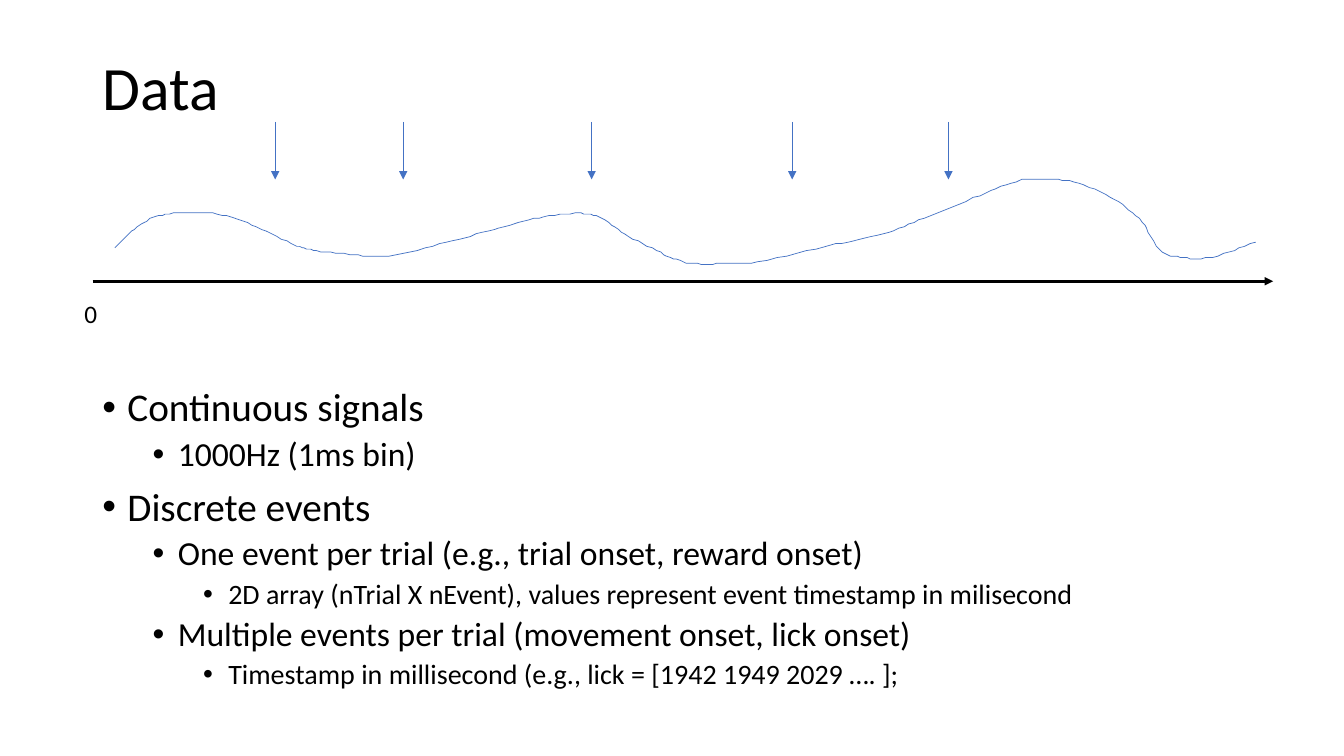
from dataclasses import dataclass
from itertools import chain, pairwise

from lxml import etree
from pptx import Presentation
from pptx.dml.color import RGBColor
from pptx.enum.shapes import MSO_CONNECTOR
from pptx.enum.text import MSO_ANCHOR, MSO_AUTO_SIZE, PP_ALIGN
from pptx.oxml.ns import qn
from pptx.shapes.base import BaseShape
from pptx.slide import Slide
from pptx.text.text import TextFrame, _Paragraph
from pptx.util import Pt

STRAIGHT = MSO_CONNECTOR.STRAIGHT
MIDDLE = MSO_ANCHOR.MIDDLE
LEFT = PP_ALIGN.LEFT
NO_AUTOFIT = MSO_AUTO_SIZE.NONE

Point = tuple[float, float]

FONT = "Calibri"
COLORS = {"ink": "000000", "signal": "4472C4"}
TITLE_ONLY = 5
MARGIN, CONTENT_WIDTH = 66, 828
LINE_SPACING = 0.9
HANGING = 18
LEVEL_STEP = 36


@dataclass
class Level:
    size: float
    space_before: float


@dataclass
class Bullet:
    text: str
    level: int = 0


@dataclass
class Arrow:
    start: Point
    end: Point
    color: str = "signal"
    width: float = 0.5


LEVELS = [Level(28, 10), Level(24, 5), Level(20, 5)]
BULLETS = [
    Bullet("Continuous signals"),
    Bullet("1000Hz (1ms bin)", 1),
    Bullet("Discrete events"),
    Bullet("One event per trial (e.g., trial onset, reward onset)", 1),
    Bullet("2D array (nTrial X nEvent), values represent event timestamp in milisecond", 2),
    Bullet("Multiple events per trial (movement onset, lick onset)", 1),
    Bullet("Timestamp in millisecond (e.g., lick = [1942 1949 2029 …. ];", 2),
]

AXIS_Y = 200.9
TIME_AXIS = Arrow((66.2, AXIS_Y), (909.4, AXIS_Y), "ink", 2)
EVENT_TOP, EVENT_BOTTOM = 87.1, 128.2
EVENT_POSITIONS = [196.6, 288, 422.6, 565.9, 677.5]
EVENT_ARROWS = [Arrow((x, EVENT_TOP), (x, EVENT_BOTTOM)) for x in EVENT_POSITIONS]

SAMPLES_PER_SPAN = 8
SIGNAL_STAGES = {
    "first rise": [(82, 177), (90, 169), (107, 156.5), (130, 152)],
    "first fall": [(159, 153.5), (183, 162), (212, 175.5), (226, 179)],
    "first trough": [(253, 182), (278, 183)],
    "second rise": [(319, 173), (353, 164), (381, 156.5), (411, 152.5)],
    "second fall": [(428, 155), (446, 167), (472, 180.5), (490, 187.5)],
    "second trough": [(512, 188.5), (541, 187)],
    "third rise": [(597, 174.5), (631, 167), (660, 156), (700, 139.5), (730, 128.5)],
    "third fall": [(745, 128.2), (767, 130), (797, 143), (816, 159), (828, 178)],
    "third trough": [(845, 184), (866, 183.5)],
    "last rise": [(897, 173)],
}


def rgb(name: str) -> RGBColor:
    return RGBColor.from_string(COLORS[name])


def smooth_curve(knots: list[Point]) -> list[Point]:
    neighbours = zip(knots[:1] + knots[:-1], knots[1:] + knots[-1:])
    slopes = [(after[1] - before[1]) / (after[0] - before[0]) for before, after in neighbours]
    curve = knots[:1]
    for (start, start_slope), (end, end_slope) in pairwise(zip(knots, slopes)):
        span, rise = end[0] - start[0], end[1] - start[1]
        for step in range(1, SAMPLES_PER_SPAN + 1):
            t = step / SAMPLES_PER_SPAN
            height = (rise * t * t * (3 - 2 * t)
                      + span * start_slope * t * (1 - t) ** 2
                      - span * end_slope * t * t * (1 - t))
            curve.append((start[0] + span * t, start[1] + height))
    return curve


def place(shape: BaseShape, left: float, top: float, width: float, height: float) -> None:
    shape.left, shape.top = Pt(left), Pt(top)
    shape.width, shape.height = Pt(width), Pt(height)


def write(paragraph: _Paragraph, text: str, size: float) -> None:
    paragraph.text = text
    paragraph.alignment = LEFT
    for run in paragraph.runs:
        run.font.name = FONT
        run.font.size = Pt(size)
        run.font.color.rgb = rgb("ink")


def add_title(slide: Slide, text: str) -> None:
    title = slide.shapes.title
    place(title, MARGIN, 12.2, CONTENT_WIDTH, 104.4)
    text_frame = title.text_frame
    text_frame.vertical_anchor = MIDDLE
    text_frame.auto_size = NO_AUTOFIT
    write(text_frame.paragraphs[0], text, 44)
    text_frame.paragraphs[0].line_spacing = LINE_SPACING


def add_text_box(slide: Slide, left: float, top: float, width: float, height: float,
                 wrap: bool) -> TextFrame:
    text_box = slide.shapes.add_textbox(Pt(left), Pt(top), Pt(width), Pt(height))
    text_box.text_frame.word_wrap = wrap
    return text_box.text_frame


def add_bullets(text_frame: TextFrame, bullets: list[Bullet]) -> None:
    for index, bullet in enumerate(bullets):
        level = LEVELS[bullet.level]
        paragraph = text_frame.add_paragraph() if index else text_frame.paragraphs[0]
        write(paragraph, bullet.text, level.size)
        paragraph.level = bullet.level
        paragraph.line_spacing = LINE_SPACING
        paragraph.space_before = Pt(level.space_before)
        properties = paragraph._p.get_or_add_pPr()
        properties.set("marL", str(Pt(HANGING + LEVEL_STEP * bullet.level)))
        properties.set("indent", str(-Pt(HANGING)))
        etree.SubElement(properties, qn("a:buFont"), typeface="Arial")
        etree.SubElement(properties, qn("a:buChar"), char="•")


def add_arrow(slide: Slide, arrow: Arrow) -> None:
    connector = slide.shapes.add_connector(
        STRAIGHT, *(Pt(value) for value in arrow.start + arrow.end))
    connector.line.color.rgb = rgb(arrow.color)
    connector.line.width = Pt(arrow.width)
    etree.SubElement(connector.line._get_or_add_ln(), qn("a:tailEnd"), type="triangle")
    etree.SubElement(connector._element.spPr, qn("a:effectLst"))


def add_signal(slide: Slide, knots: list[Point]) -> None:
    first, *others = smooth_curve(knots)
    builder = slide.shapes.build_freeform(*first, scale=Pt(1))
    builder.add_line_segments(others, close=False)
    signal = builder.convert_to_shape()
    signal.shadow.inherit = False
    signal.fill.background()
    signal.line.color.rgb = rgb("signal")
    signal.line.width = Pt(0.5)


presentation = Presentation()
presentation.slide_width = Pt(960)
presentation.slide_height = Pt(540)
slide = presentation.slides.add_slide(presentation.slide_layouts[TITLE_ONLY])

add_title(slide, "Data")
add_bullets(add_text_box(slide, MARGIN, 273.6, CONTENT_WIDTH, 234, True), BULLETS)
add_arrow(slide, TIME_AXIS)
origin_label = add_text_box(slide, 53.3, 209.5, 23.8, 28.8, False)
write(origin_label.paragraphs[0], "0", 18)
add_signal(slide, list(chain.from_iterable(SIGNAL_STAGES.values())))
for event_arrow in EVENT_ARROWS:
    add_arrow(slide, event_arrow)

presentation.save("out.pptx")
